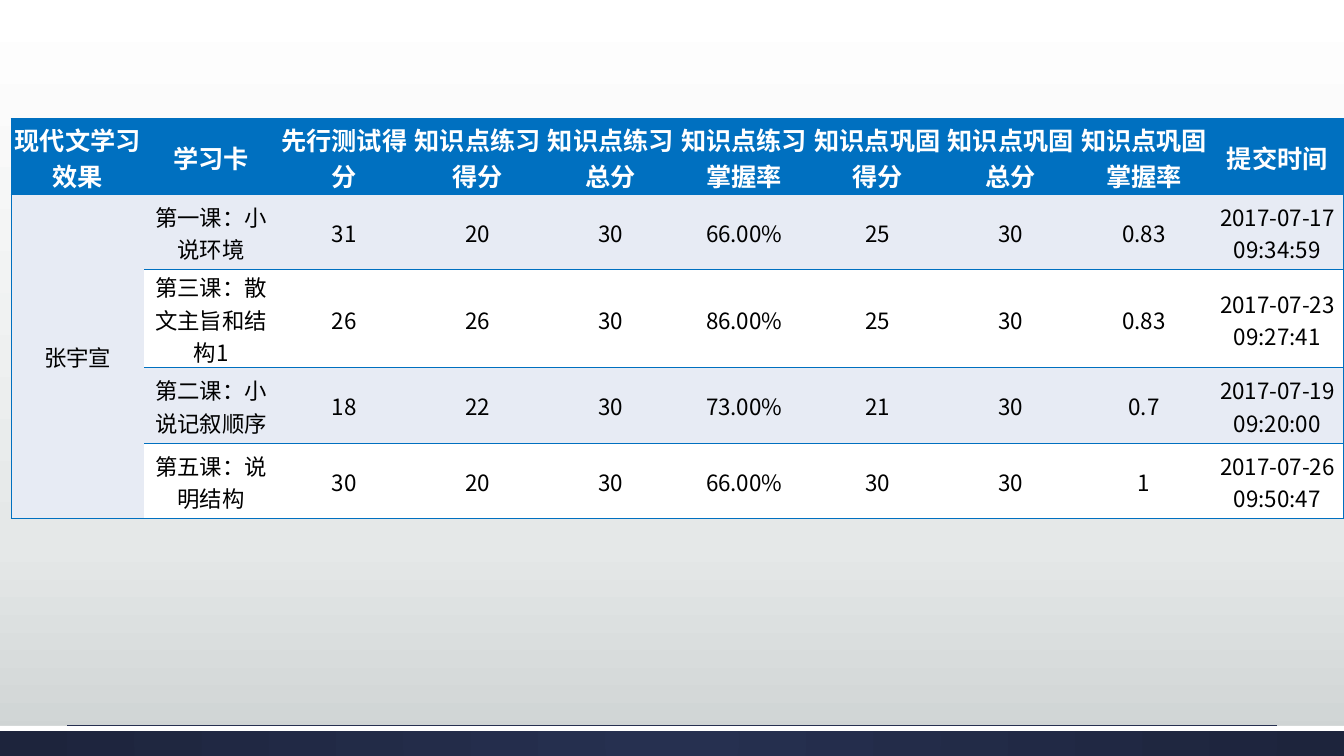
"""Build a slide with one student's results table for modern prose lessons."""
from pptx import Presentation
from pptx.dml.color import RGBColor
from pptx.enum.shapes import MSO_CONNECTOR, MSO_SHAPE
from pptx.enum.text import MSO_ANCHOR, PP_ALIGN
from pptx.oxml import parse_xml
from pptx.oxml.ns import nsdecls, qn
from pptx.util import Cm, Pt

HEADERS = ["现代文学习效果", "学习卡", "先行测试得分", "知识点练习得分", "知识点练习总分",
           "知识点练习掌握率", "知识点巩固得分", "知识点巩固总分", "知识点巩固掌握率", "提交时间"]
STUDENT = "张宇宣"
LESSONS = [
    ["第一课：小说环境", "31", "20", "30", "66.00%", "25", "30", "0.83", "2017-07-17 09:34:59"],
    ["第三课：散文主旨和结构1", "26", "26", "30", "86.00%", "25", "30", "0.83", "2017-07-23 09:27:41"],
    ["第二课：小说记叙顺序", "18", "22", "30", "73.00%", "21", "30", "0.7", "2017-07-19 09:20:00"],
    ["第五课：说明结构", "30", "20", "30", "66.00%", "30", "30", "1", "2017-07-26 09:50:47"],
]
BACKDROP = [(0, "FFFFFF"), (72, "E5E8E8"), (100, "CDD2D2")]
FOOTER = [(0, "263050"), (100, "1D243C")]
DOWNWARD = f'<a:lin {nsdecls("a")} ang="5400000" scaled="0"/>'
RADIAL = (f'<a:path {nsdecls("a")} path="circle">'
          '<a:fillToRect l="50000" t="50000" r="50000" b="50000"/></a:path>')

FONT = "Noto Sans CJK SC"
PLAIN_STYLE = "{2D5ABB26-0587-4C30-8999-92F81FD0307C}"
BLUE = RGBColor(0x00, 0x70, 0xC0)
PALE = RGBColor(0xE7, 0xEB, 0xF4)
WHITE = RGBColor(0xFF, 0xFF, 0xFF)
BLACK = RGBColor(0x00, 0x00, 0x00)
NAVY = RGBColor(0x26, 0x30, 0x50)

SLIDE_WIDTH, SLIDE_HEIGHT = Cm(33.87), Cm(19.05)
TABLE_LEFT, TABLE_TOP = Cm(0.28), Cm(3)
ROW_HEIGHT = Cm(1.9)
FOOTER_TOP = Cm(18.29)
RULE_MARGIN, RULE_TOP = Cm(1.7), Cm(18.27)


def set_gradient(fill, owner, stops, direction):
    fill.gradient()
    gradient = owner.find(".//" + qn("a:gradFill"))
    for child in list(gradient):
        gradient.remove(child)
    marks = "".join(f'<a:gs pos="{place * 1000}"><a:srgbClr val="{color}"/></a:gs>'
                    for place, color in stops)
    gradient.append(parse_xml(f'<a:gsLst {nsdecls("a")}>{marks}</a:gsLst>'))
    gradient.append(parse_xml(direction))


def add_band(page, top, height):
    band = page.shapes.add_shape(MSO_SHAPE.RECTANGLE, 0, top, SLIDE_WIDTH, height)
    band.shadow.inherit = False
    band.line.fill.background()
    return band


def style_cell(cell, text, fill, size, color, bold, sides):
    properties = cell._tc.get_or_add_tcPr()
    for side in sides:
        properties.append(parse_xml(
            f'<a:ln{side} {nsdecls("a")} w="12700"><a:solidFill>'
            f'<a:srgbClr val="{BLUE}"/></a:solidFill></a:ln{side}>'))
    cell.fill.solid()
    cell.fill.fore_color.rgb = fill
    cell.vertical_anchor = MSO_ANCHOR.MIDDLE
    cell.margin_left = cell.margin_right = cell.margin_top = Cm(0.03)
    cell.margin_bottom = 0
    cell.text = text
    para = cell.text_frame.paragraphs[0]
    para.alignment = PP_ALIGN.CENTER
    para.font.name, para.font.size = FONT, Pt(size)
    para.font.bold, para.font.color.rgb = bold, color
    for span in para.runs:
        span.font._element.append(parse_xml(f'<a:ea {nsdecls("a")} typeface="{FONT}"/>'))


def add_results(page):
    rows = [HEADERS] + [[STUDENT if index == 0 else ""] + lesson
                        for index, lesson in enumerate(LESSONS)]
    last_row, last_column = len(rows) - 1, len(HEADERS) - 1
    frame = page.shapes.add_table(len(rows), len(HEADERS), TABLE_LEFT, TABLE_TOP,
                                  SLIDE_WIDTH - TABLE_LEFT, ROW_HEIGHT * len(rows))
    table = frame.table
    table._tbl.tblPr.find(qn("a:tableStyleId")).text = PLAIN_STYLE
    for row, texts in enumerate(rows):
        for column, text in enumerate(texts):
            sides = (["L"] if column == 0 else []) + (["R"] if column == last_column else [])
            sides += ["T"] if row == 0 else []
            sides += ["B"] if column or row in (0, 1, last_row) else []
            fill = BLUE if row == 0 else PALE if row % 2 or column == 0 else WHITE
            size, color = (18, WHITE) if row == 0 else (16, BLACK)
            style_cell(table.cell(row, column), text, fill, size, color, row == 0, sides)
    table.cell(1, 0).merge(table.cell(last_row, 0))


def main():
    deck = Presentation()
    deck.slide_width, deck.slide_height = SLIDE_WIDTH, SLIDE_HEIGHT
    page = deck.slides.add_slide(deck.slide_layouts[6])
    set_gradient(page.background.fill, page._element, BACKDROP, DOWNWARD)

    footer = add_band(page, FOOTER_TOP, SLIDE_HEIGHT - FOOTER_TOP)
    set_gradient(footer.fill, footer._element, FOOTER, RADIAL)
    strip = add_band(page, FOOTER_TOP, Cm(0.13))
    strip.fill.solid()
    strip.fill.fore_color.rgb = WHITE

    rule = page.shapes.add_connector(MSO_CONNECTOR.STRAIGHT, RULE_MARGIN, RULE_TOP,
                                     SLIDE_WIDTH - RULE_MARGIN, RULE_TOP)
    rule.line.color.rgb = NAVY
    rule.line.width = Pt(0.5)
    rule._element.spPr.append(parse_xml(f'<a:effectLst {nsdecls("a")}/>'))

    add_results(page)
    deck.save("out.pptx")


if __name__ == "__main__":
    main()
